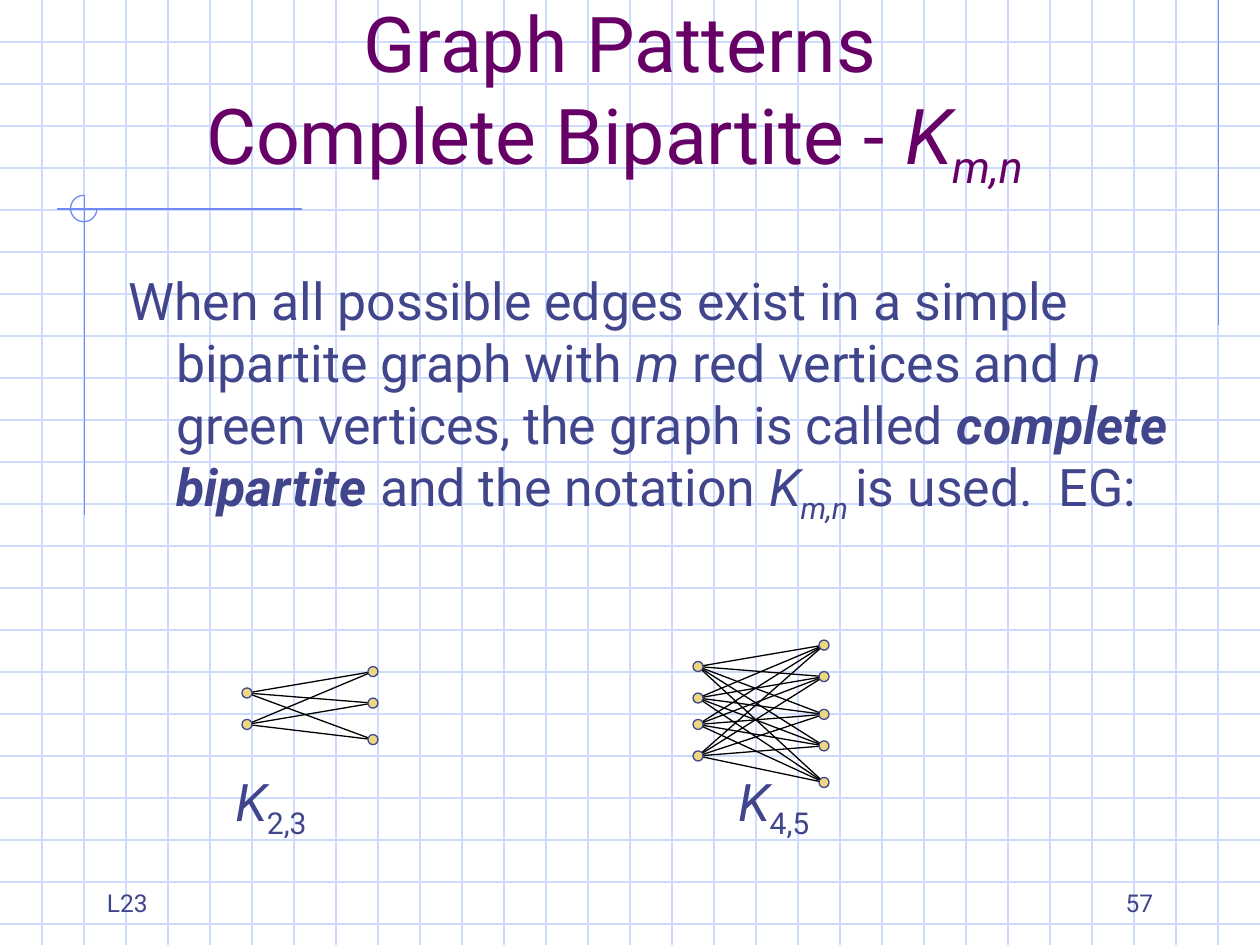
from math import atan2, cos, sin

from lxml.etree import SubElement
from pptx import Presentation
from pptx.dml.color import RGBColor
from pptx.enum.shapes import MSO_CONNECTOR as CONN, MSO_SHAPE as SHAPE
from pptx.enum.text import MSO_ANCHOR as ANCHOR, MSO_AUTO_SIZE as AUTO, PP_ALIGN as ALIGN
from pptx.oxml.ns import qn
from pptx.util import Inches, Pt

COLORS = {
    "grid": "CFDBFD",
    "accent": "6F89F7",
    "title": "660066",
    "text": "40458C",
    "vertex": "ECD882",
    "edge": "000000",
}
FONT = "Roboto"
WIDTH, HEIGHT = 10, 7.5
DOT = 0.08


def rgb(name):
    return RGBColor.from_string(COLORS[name])


def add_line(s, x1, y1, x2, y2, color):
    line = s.shapes.add_connector(CONN.STRAIGHT, Inches(x1), Inches(y1), Inches(x2), Inches(y2))
    line.line.color.rgb = rgb(color)
    line.line.width = Pt(0.75)
    SubElement(line._element.spPr, qn("a:effectLst"))


def add_preset(s, kind, x, y, size, line_color):
    shape = s.shapes.add_shape(kind, Inches(x), Inches(y), Inches(size), Inches(size))
    shape.shadow.inherit = False
    shape.line.color.rgb = rgb(line_color)
    shape.line.width = Pt(0.75)
    return shape


def add_runs(p, parts, size, color):
    """Each part is (text, style); style letters: b bold, i italic, s subscript."""
    for text, style in parts:
        if text == "\n":
            p.add_line_break()
            continue
        r = p.add_run()
        r.text = text
        r.font.name = FONT
        r.font.size = Pt(size)
        r.font.bold = "b" in style
        r.font.italic = "i" in style
        r.font.color.rgb = rgb(color)
        if "s" in style:
            r.font._element.set("baseline", "-25000")


def add_text(s, box, parts, size, align=ALIGN.LEFT, anchor=ANCHOR.TOP):
    tf = s.shapes.add_textbox(*map(Inches, box)).text_frame
    tf.word_wrap = True
    tf.vertical_anchor = anchor
    p = tf.paragraphs[0]
    p.alignment = align
    add_runs(p, parts, size, "text")
    return p


def add_background(s):
    # Graph paper, three squares to the inch
    for i in range(1, 23):
        add_line(s, 0, i / 3, WIDTH, i / 3, "grid")
    for i in range(1, 30):
        add_line(s, i / 3, 0, i / 3, HEIGHT, "grid")
    # Accent lines and three-quarter circle
    add_line(s, 9.67, 0, 9.67, 2.58, "accent")
    add_line(s, 2.4, 1.66, 0.45, 1.66, "accent")
    add_line(s, 0.67, 1.55, 0.67, 4.09, "accent")
    arc = add_preset(s, SHAPE.ARC, 0.56, 1.55, 0.21, "accent")
    arc.fill.background()
    arc.adjustments[0] = 0
    arc.adjustments[1] = 162  # 270 degrees


def add_title(s, box):
    title = s.shapes.title
    title.left, title.top, title.width, title.height = map(Inches, box)
    title._element.getparent().append(title._element)  # in front of the grid
    tf = title.text_frame
    tf.auto_size = AUTO.NONE
    tf.vertical_anchor = ANCHOR.BOTTOM
    p = tf.paragraphs[0]
    p.alignment = ALIGN.CENTER
    add_runs(p, [("Graph Patterns", ""), ("\n", ""), ("Complete Bipartite - ", ""),
                 ("K", "i"), ("m,n ", "is")], 44, "title")


def add_body(s, box):
    p = add_text(s, box, [
        ("When all possible edges exist in a simple bipartite graph with ", ""),
        ("m", "i"), (" red vertices and ", ""), ("n ", "i"),
        ("green vertices, the graph is called ", ""),
        ("complete bipartite ", "bi"), ("and the notation ", ""),
        ("K", "i"), ("m,n ", "is"), ("is used.  EG:", ""),
    ], 29.6)
    pPr = p._p.get_or_add_pPr()
    pPr.set("marL", str(Inches(0.38)))
    pPr.set("indent", str(Inches(-0.38)))


def add_bipartite(s, x, left_ys, right_ys, label_x):
    """Join every left vertex to every right one; the columns are 1 inch apart."""
    radius = DOT / 2
    x1, x2 = x, x + 1
    for y1 in left_ys:
        for y2 in right_ys:
            angle = atan2(y2 - y1, x2 - x1)
            dx, dy = radius * cos(angle), radius * sin(angle)
            add_line(s, x1 + dx, y1 + dy, x2 - dx, y2 - dy, "edge")
    for cx, ys in ((x1, left_ys), (x2, right_ys)):
        for cy in ys:
            dot = add_preset(s, SHAPE.OVAL, cx - radius, cy - radius, DOT, "text")
            dot.fill.solid()
            dot.fill.fore_color.rgb = rgb("vertex")
    sizes = f"{len(left_ys)},{len(right_ys)}"
    add_text(s, (label_x, 6.06, 1.2, 0.65), [("K", "i"), (sizes, "s")], 29.6)


def add_footer(s, y):
    add_text(s, (7.17, y, 2.08, 0.5), [("57", "")], 14, ALIGN.RIGHT, ANCHOR.BOTTOM)
    add_text(s, (0.75, y, 2.08, 0.5), [("L23", "")], 14, anchor=ANCHOR.BOTTOM)


def main():
    prs = Presentation()
    prs.slide_width, prs.slide_height = Inches(WIDTH), Inches(HEIGHT)
    s = prs.slides.add_slide(prs.slide_layouts[5])
    add_background(s)
    add_title(s, (0.67, 0.33, 8.5, 1.25))
    add_body(s, (0.92, 2.08, 8.5, 2.2))
    add_bipartite(s, 1.96, [5.5, 5.75], [5.33, 5.58, 5.87], 1.77)
    add_bipartite(s, 5.54, [5.29, 5.54, 5.75, 6], [5.12, 5.37, 5.67, 5.92, 6.21], 5.76)
    add_footer(s, 6.83)
    prs.save("out.pptx")


if __name__ == "__main__":
    main()
